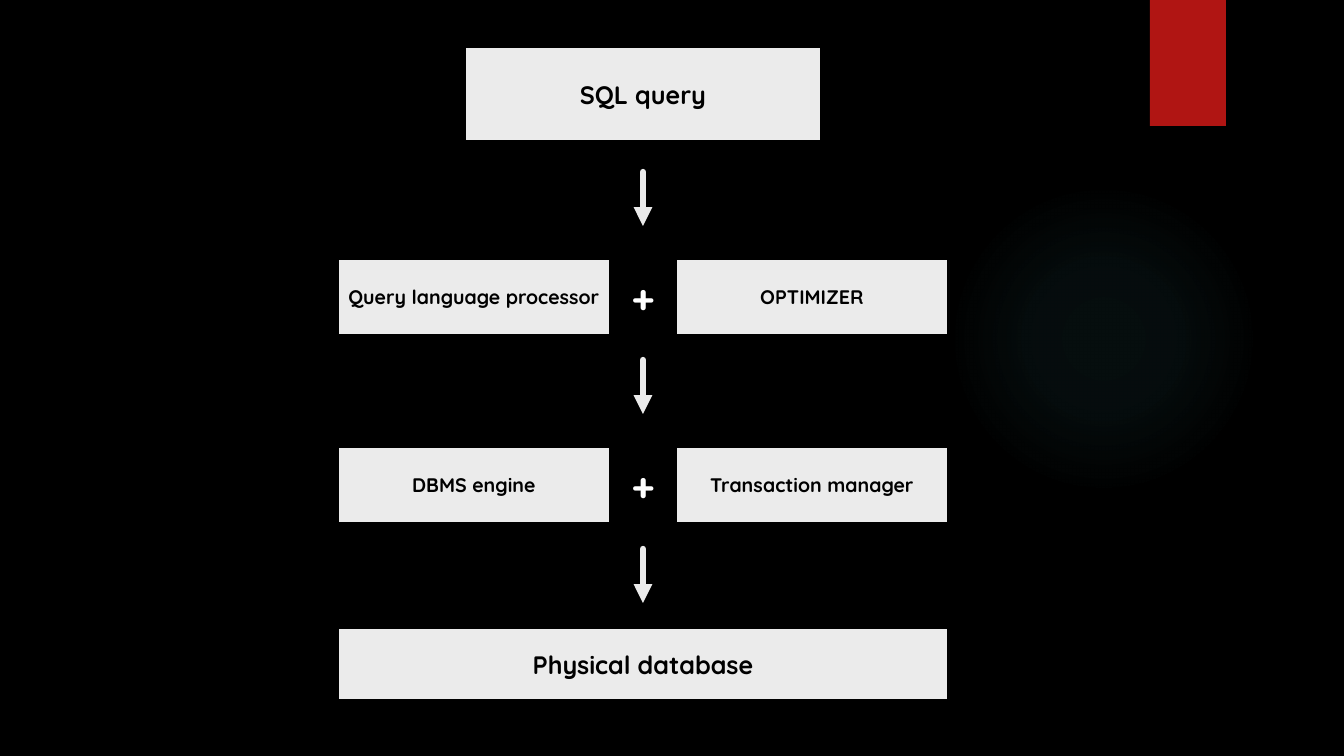
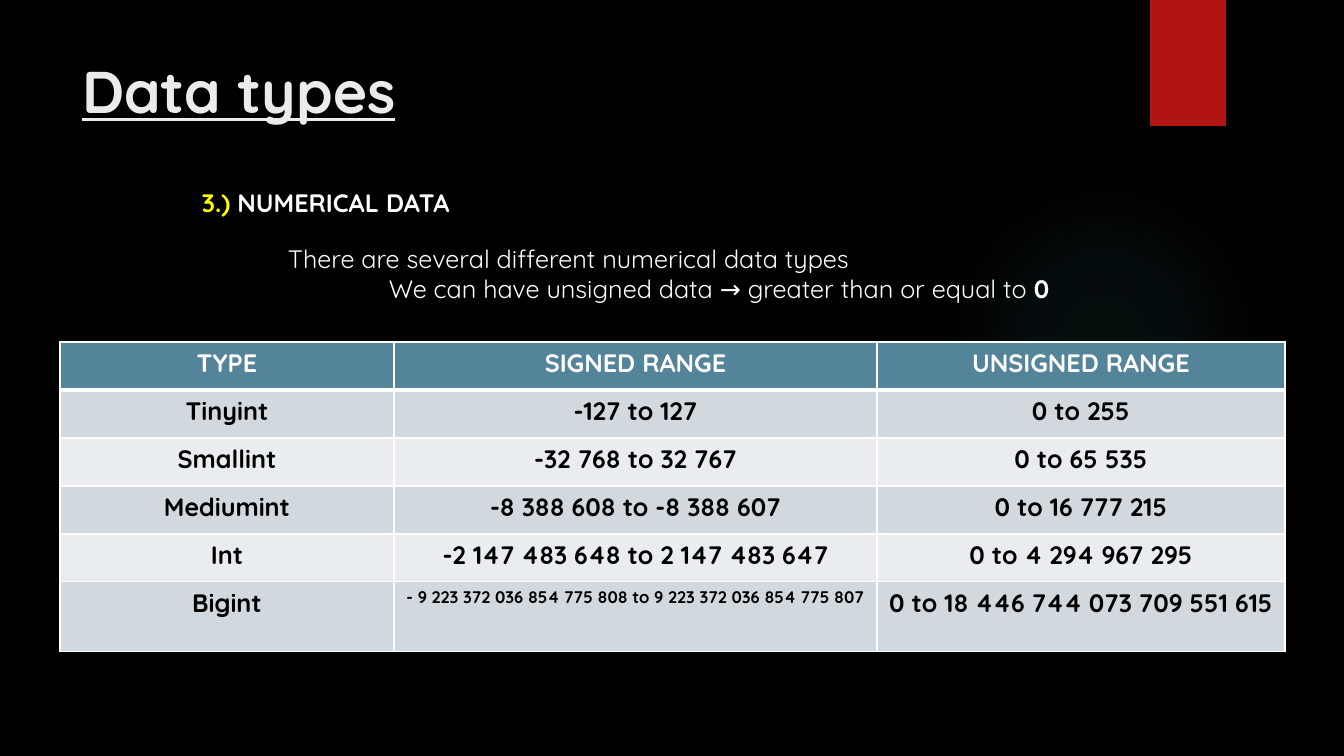
from pptx import Presentation
from pptx.dml.color import RGBColor
from pptx.enum.shapes import MSO_CONNECTOR, MSO_SHAPE
from pptx.enum.text import MSO_ANCHOR, MSO_AUTO_SIZE, PP_ALIGN
from pptx.oxml import parse_xml
from pptx.oxml.ns import nsdecls, qn
from pptx.util import Emu, Pt

FONT = "Quicksand"
BLACK = RGBColor(0x00, 0x00, 0x00)
WHITE = RGBColor(0xFF, 0xFF, 0xFF)
LIGHT = RGBColor(0xEB, 0xEB, 0xEB)
RED = RGBColor(0xB0, 0x15, 0x13)
YELLOW = RGBColor(0xFF, 0xFF, 0x00)
HEADER = RGBColor(0x54, 0x84, 0x9A)
BANDS = (RGBColor(0xD1, 0xD9, 0xDE), RGBColor(0xE9, 0xED, 0xEF))
GLOW = RGBColor(0x50, 0xB9, 0xC1)
GLOW_STOPS = ((0, 7), (36, 6), (69, 0))

CENTER = 643
PAIR_W, PAIR_H, PAIR_GAP = 272, 76, 66
FULL_W = 2 * PAIR_W + PAIR_GAP
FLOW_ENDS = (("SQL query", 47, 356, 94), ("Physical database", 628, FULL_W, 72))
FLOW_PAIRS = (
    (259, ("Query language processor", "OPTIMIZER")),
    (447, ("DBMS engine", "Transaction manager")),
)
ARROW_TOPS = (172, 360, 549)
ARROW_LENGTH = 54

TITLE = "Data types"
HEADING = (("3.) ", YELLOW), ("NUMERICAL DATA", WHITE))
NOTES = (
    (0, (("There are several different numerical data types", False),)),
    (101, (("We can have unsigned data → greater than or equal to", False), (" 0", True))),
)
COLUMNS = (334, 483, 408)
ROWS = (
    (48, ("TYPE", "SIGNED RANGE", "UNSIGNED RANGE")),
    (48, ("Tinyint", "-127 to 127", "0 to 255")),
    (48, ("Smallint", "-32 768 to 32 767", "0 to 65 535")),
    (48, ("Mediumint", "-8 388 608 to -8 388 607", "0 to 16 777 215")),
    (48, ("Int", "-2 147 483 648 to 2 147 483 647", "0 to 4 294 967 295")),
    (70, ("Bigint", "- 9 223 372 036 854 775 808 to 9 223 372 036 854 775 807",
          "0 to 18 446 744 073 709 551 615")),
)
LONG_TEXT = 40


def px(n):
    return Emu(round(n * 914400 / 100.8))


def write(p, text, size=18, color=WHITE, bold=False, underline=None, align=PP_ALIGN.LEFT):
    p.alignment = align
    r = p.add_run()
    r.text = text
    f = r.font
    f.name, f.size, f.bold, f.underline = FONT, Pt(size), bold, underline
    f.color.rgb = color


def add_shape(s, kind, x, y, w, h, fill=None):
    sp = s.shapes.add_shape(kind, px(x), px(y), px(w), px(h))
    sp.shadow.inherit = False
    sp.line.fill.background()
    if fill is not None:
        sp.fill.solid()
        sp.fill.fore_color.rgb = fill
    return sp


def add_text(s, x, y, w, h, wrap=True):
    tf = s.shapes.add_textbox(px(x), px(y), px(w), px(h)).text_frame
    tf.word_wrap = wrap
    return tf


def add_box(s, text, x, y, w, h, size):
    sp = add_shape(s, MSO_SHAPE.RECTANGLE, x, y, w, h, LIGHT)
    sp.line.color.rgb = BLACK
    sp.line.width = Pt(1.5)
    tf = sp.text_frame
    tf.word_wrap = True
    tf.vertical_anchor = MSO_ANCHOR.MIDDLE
    write(tf.paragraphs[0], text, size, BLACK, True, align=PP_ALIGN.CENTER)


def add_arrow(s, x, y, length):
    cxn = s.shapes.add_connector(MSO_CONNECTOR.STRAIGHT, px(x), px(y), px(x), px(y + length))
    cxn.line.color.rgb = LIGHT
    cxn.line.width = Pt(4.5)
    spPr = cxn.element.spPr
    ln = spPr.find(qn("a:ln"))
    ln.set("cap", "rnd")
    ln.append(parse_xml(f'<a:tailEnd {nsdecls("a")} type="triangle"/>'))
    spPr.append(parse_xml(f'<a:effectLst {nsdecls("a")}/>'))


def decorate_master(prs, s):
    master = prs.slide_master
    master.background.fill.solid()
    master.background.fill.fore_color.rgb = BLACK
    glow = add_shape(s, MSO_SHAPE.OVAL, 949, 184, 310, 310)
    stops = "".join(
        f'<a:gs pos="{pos * 1000}"><a:srgbClr val="{GLOW}">'
        f'<a:alpha val="{alpha * 1000}"/></a:srgbClr></a:gs>'
        for pos, alpha in GLOW_STOPS)
    glow.element.spPr.insert(2, parse_xml(
        f'<a:gradFill {nsdecls("a")}><a:gsLst>{stops}</a:gsLst><a:path path="circle">'
        '<a:fillToRect l="50000" t="50000" r="50000" b="50000"/></a:path></a:gradFill>'))
    tab = add_shape(s, MSO_SHAPE.RECTANGLE, 1150, 0, 76, 126, RED)
    for number, sp in enumerate((glow, tab), 101):
        sp.element.nvSpPr.cNvPr.set("id", str(number))
        master.shapes.element.append(sp.element)


def set_borders(cell, **widths):
    tcPr = cell._tc.get_or_add_tcPr()
    for i, side in enumerate("LRTB"):
        width = Pt(widths.get(side, 1))
        tcPr.insert(i, parse_xml(
            f'<a:ln{side} {nsdecls("a")} w="{width}"><a:solidFill>'
            f'<a:srgbClr val="{WHITE}"/></a:solidFill></a:ln{side}>'))


def build_flow(s):
    left = CENTER - FULL_W // 2
    for text, y, w, h in FLOW_ENDS:
        add_box(s, text, CENTER - w // 2, y, w, h, 18)
    for y, names in FLOW_PAIRS:
        for i, name in enumerate(names):
            add_box(s, name, left + i * (PAIR_W + PAIR_GAP), y, PAIR_W, PAIR_H, 14)
        tf = add_text(s, CENTER - 22, y + 9, 44, 57, wrap=False)
        write(tf.paragraphs[0], "+", 28, bold=True, align=PP_ALIGN.CENTER)
    for y in ARROW_TOPS:
        add_arrow(s, CENTER, y, ARROW_LENGTH)


def build_types(s):
    title = s.shapes.title
    title.left, title.top, title.width, title.height = map(px, (72, 50, 1037, 101))
    tf = title.text_frame
    tf.auto_size = MSO_AUTO_SIZE.NONE
    tf.vertical_anchor = MSO_ANCHOR.TOP
    write(tf.paragraphs[0], TITLE, 42, LIGHT, True, True)

    p = add_text(s, 192, 182, 300, 40).paragraphs[0]
    for text, color in HEADING:
        write(p, text, color=color, bold=True)

    tf = add_text(s, 278, 238, 837, 102)
    for i, (indent, runs) in enumerate(NOTES):
        p = tf.add_paragraph() if i else tf.paragraphs[0]
        p._p.get_or_add_pPr().set("marL", str(px(indent)))
        for text, bold in runs:
            write(p, text, bold=bold)

    table = s.shapes.add_table(len(ROWS), len(COLUMNS), px(60), px(342), px(sum(COLUMNS)),
                               px(sum(h for h, _ in ROWS))).table
    for column, w in zip(table.columns, COLUMNS):
        column.width = px(w)
    for i, (h, texts) in enumerate(ROWS):
        table.rows[i].height = px(h)
        for j, text in enumerate(texts):
            cell = table.cell(i, j)
            cell.fill.solid()
            cell.fill.fore_color.rgb = BANDS[(i - 1) % 2] if i else HEADER
            set_borders(cell, T=3 if i == 1 else 1, B=1 if i else 3)
            write(cell.text_frame.paragraphs[0], text, 12 if len(text) > LONG_TEXT else 18,
                  BLACK if i else WHITE, True, align=PP_ALIGN.CENTER)


def main():
    prs = Presentation()
    prs.slide_width, prs.slide_height = px(1344), px(756)
    flow = prs.slides.add_slide(prs.slide_layouts[6])
    decorate_master(prs, flow)
    build_flow(flow)
    build_types(prs.slides.add_slide(prs.slide_layouts[5]))
    prs.save("out.pptx")


if __name__ == "__main__":
    main()
